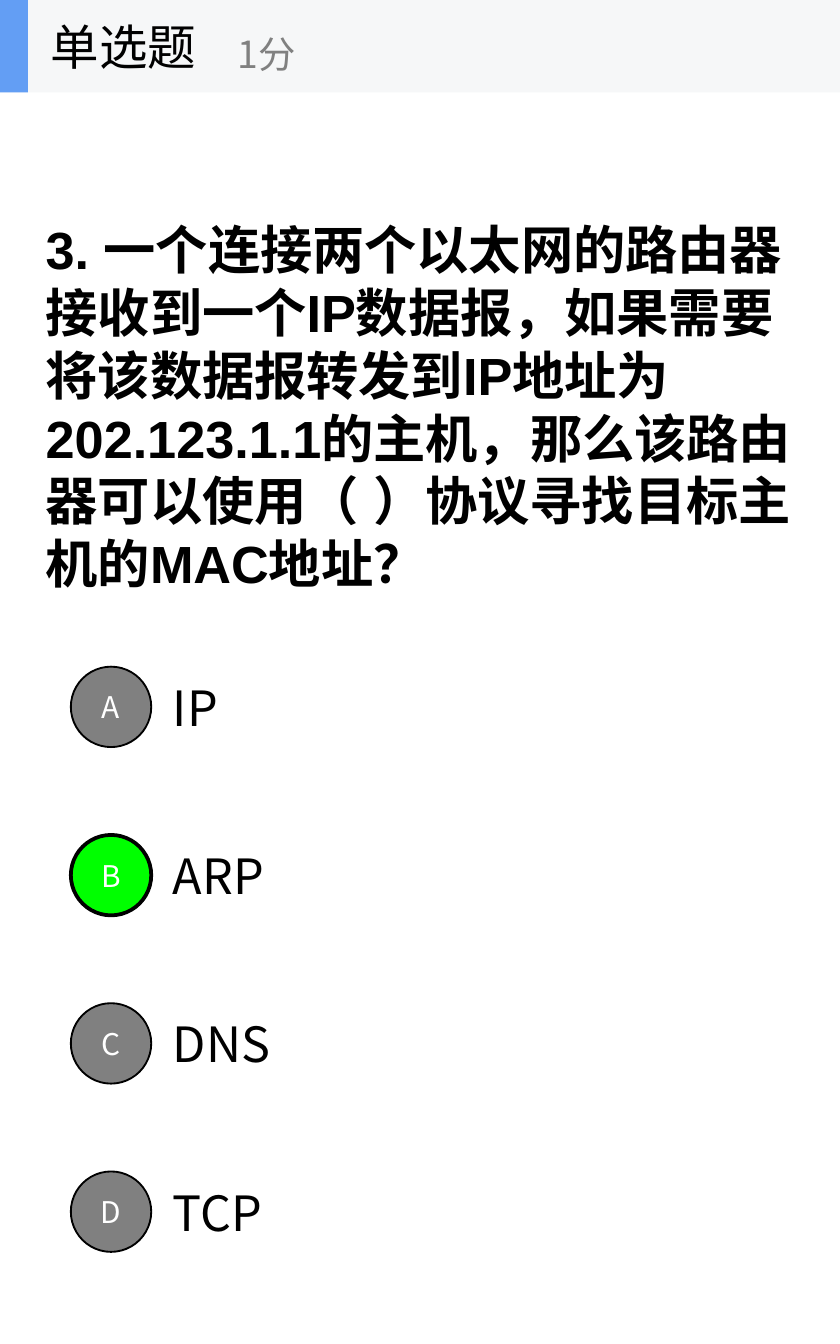
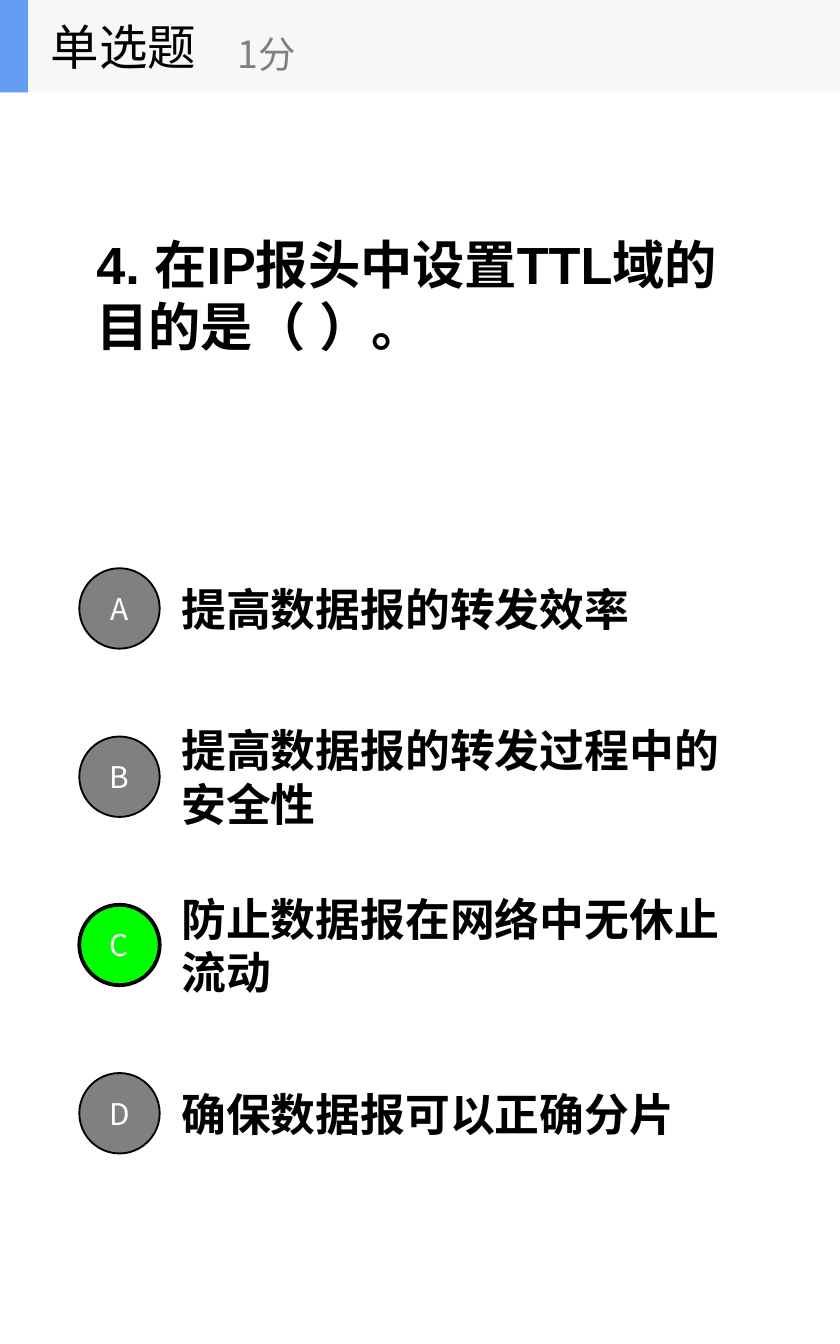
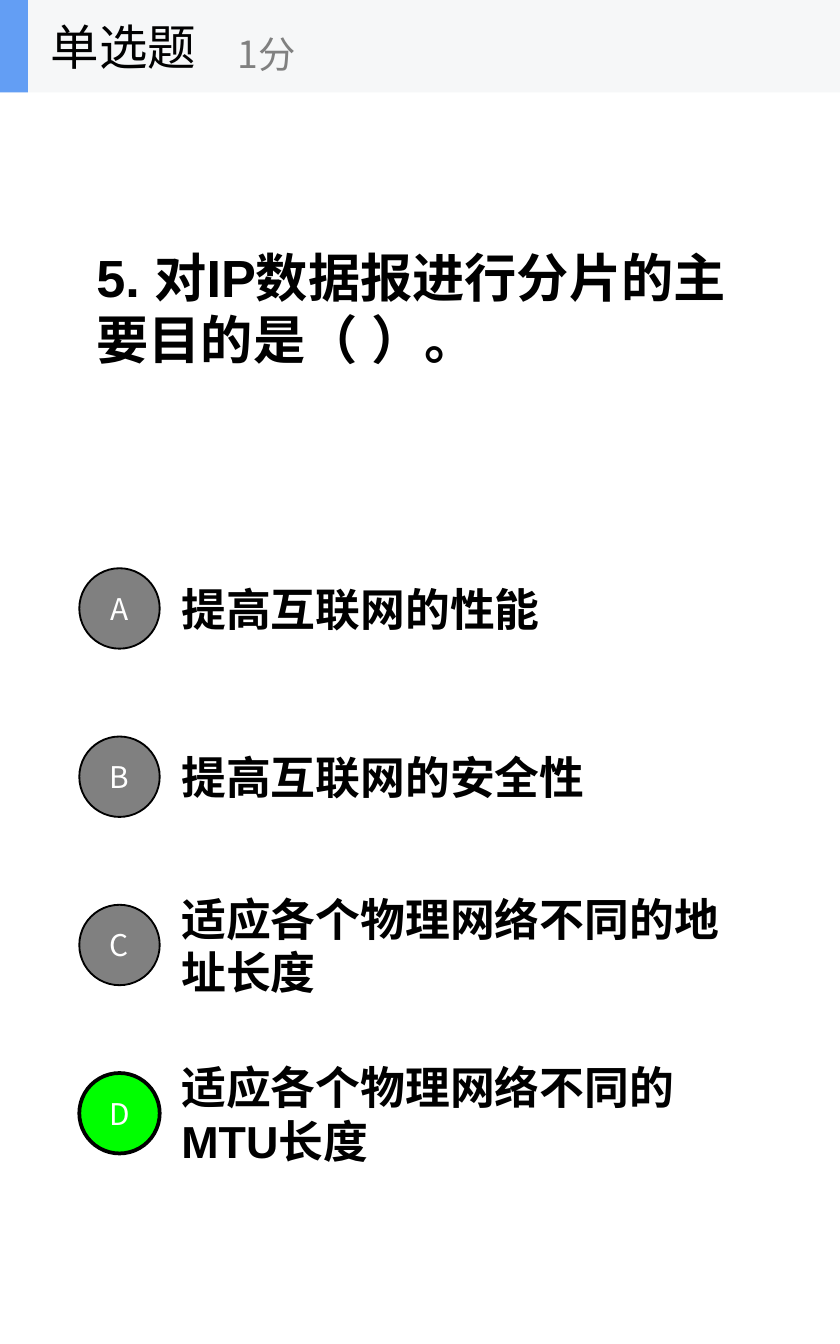
"""Build three single-choice quiz pages about IP networking."""
import lxml.etree
import pptx
import pptx.dml.color
import pptx.enum.shapes
import pptx.enum.text
import pptx.oxml.ns
import pptx.util

Cm = pptx.util.Cm
RGBColor = pptx.dml.color.RGBColor
Shape = pptx.enum.shapes.MSO_SHAPE
Align = pptx.enum.text.PP_ALIGN

BLACK = RGBColor(0x00, 0x00, 0x00)
WHITE = RGBColor(0xFF, 0xFF, 0xFF)
GRAY = RGBColor(0x80, 0x80, 0x80)
GREEN = RGBColor(0x00, 0xFF, 0x00)
BLUE = RGBColor(0x63, 0x9E, 0xF4)
BAND = RGBColor(0xF6, 0xF7, 0xF8)

LATIN = "Arial"
HAN = "Noto Sans CJK SC"
PAGE_WIDTH = 15.88
PAGE_HEIGHT = 25.4
BAND_HEIGHT = 1.75
OPTION_PITCH = 3.18
OPTION_WIDTH = 11.12
OPTION_HEIGHT = 2.38
BADGE_SIZE = 1.52
BADGE_DROP = 0.43
BADGE_OFFSET = 1.68

QUESTIONS = [
    {
        "question": "3. 一个连接两个以太网的路由器接收到一个IP数据报，如果需要将该数据报转发到IP地址为202.123.1.1的主机，那么该路由器可以使用（ ）协议寻找目标主机的MAC地址？",
        "place": (0.61, 3.71, 14.81, 7.92),
        "options": ["IP", "ARP", "DNS", "TCP"],
        "answer": "B",
        "corner": (3.02, 12.17),
        "style": {"size": 26, "font": HAN},
    },
    {
        "question": "4. 在IP报头中设置TTL域的目的是（ ）。",
        "place": (1.57, 2.41, 12.7, 6.32),
        "options": ["提高数据报的转发效率", "提高数据报的转发过程中的安全性",
                    "防止数据报在网络中无休止流动", "确保数据报可以正确分片"],
        "answer": "C",
        "corner": (3.18, 10.31),
        "style": {"size": 24, "font": LATIN, "bold": True},
    },
    {
        "question": "5. 对IP数据报进行分片的主要目的是（ ）。",
        "place": (1.57, 3.1, 12.7, 6.6),
        "bottom_inset": 1.3,
        "options": ["提高互联网的性能", "提高互联网的安全性",
                    "适应各个物理网络不同的地址长度", "适应各个物理网络不同的MTU长度"],
        "answer": "D",
        "corner": (3.18, 10.31),
        "style": {"size": 24, "font": LATIN, "bold": True},
    },
]


def write_text(box, text, size, font=HAN, color=BLACK, bold=False, align=Align.LEFT):
    """Put one formatted, vertically centred paragraph into a shape."""
    frame = box.text_frame
    frame.word_wrap = True
    frame.auto_size = pptx.enum.text.MSO_AUTO_SIZE.NONE
    frame.vertical_anchor = pptx.enum.text.MSO_ANCHOR.MIDDLE
    para = frame.paragraphs[0]
    para.alignment = align
    span = para.add_run()
    span.text = text
    span.font.size = pptx.util.Pt(size)
    span.font.bold = bold
    span.font.color.rgb = color
    span.font.name = font
    properties = span.font._element
    east_asian = lxml.etree.SubElement(properties, pptx.oxml.ns.qn("a:ea"))
    east_asian.set("typeface", font)


def add_text(shapes, place, text, **style):
    """Add a text box at a place given in centimetres."""
    box = shapes.add_textbox(*map(Cm, place))
    write_text(box, text, **style)


def add_filled(shapes, kind, place, fill, line_width=0):
    """Add a flat preset shape, outlined in black when a line width is given."""
    shape = shapes.add_shape(kind, *map(Cm, place))
    shape.shadow.inherit = False
    shape.fill.solid()
    shape.fill.fore_color.rgb = fill
    if line_width:
        shape.line.color.rgb = BLACK
        shape.line.width = pptx.util.Pt(line_width)
    else:
        shape.line.fill.background()
    return shape


def add_header(page):
    """Add the grouped band with question type and score."""
    shapes = page.shapes.add_group_shape().shapes
    add_filled(shapes, Shape.RECTANGLE, (0, 0, PAGE_WIDTH, BAND_HEIGHT), BAND)
    add_filled(shapes, Shape.RECTANGLE, (0, 0, 0.53, BAND_HEIGHT), BLUE)
    add_text(shapes, (0.71, 0, 5.28, BAND_HEIGHT), "单选题", size=26)
    add_text(shapes, (4.24, 0.3, 6.35, 1.42), "1分", size=20, color=GRAY)


def add_question(page, text, place, bottom_inset):
    """Place the question in the title placeholder."""
    title = page.shapes.title
    title.left, title.top, title.width, title.height = map(Cm, place)
    write_text(title, text, size=28, font=LATIN, bold=True)
    title.text_frame.margin_bottom = Cm(bottom_inset)


def add_badge(page, left, top, letter, correct):
    """Add a lettered circle, highlighted for the correct answer."""
    fill, line_width = (GREEN, 2) if correct else (GRAY, 1)
    badge = add_filled(page.shapes, Shape.OVAL, (left, top, BADGE_SIZE, BADGE_SIZE), fill, line_width)
    write_text(badge, letter, size=16, color=WHITE, align=Align.CENTER)
    frame = badge.text_frame
    frame.margin_left = frame.margin_right = frame.margin_top = frame.margin_bottom = 0


def add_options(page, options, answer, corner, style):
    """Stack the lettered options at an equal pitch."""
    left, first_top = corner
    for index, (letter, option) in enumerate(zip("ABCD", options)):
        top = first_top + index * OPTION_PITCH
        add_text(page.shapes, (left, top, OPTION_WIDTH, OPTION_HEIGHT), option, **style)
        add_badge(page, left - BADGE_OFFSET, top + BADGE_DROP, letter, letter == answer)


def main():
    """Build and save the quiz deck."""
    deck = pptx.Presentation()
    deck.slide_width = Cm(PAGE_WIDTH)
    deck.slide_height = Cm(PAGE_HEIGHT)
    title_only = deck.slide_layouts[5]
    for item in QUESTIONS:
        page = deck.slides.add_slide(title_only)
        add_question(page, item["question"], item["place"], item.get("bottom_inset", 0.13))
        add_options(page, item["options"], item["answer"], item["corner"], item["style"])
        add_header(page)
    deck.save("out.pptx")


if __name__ == "__main__":
    main()
